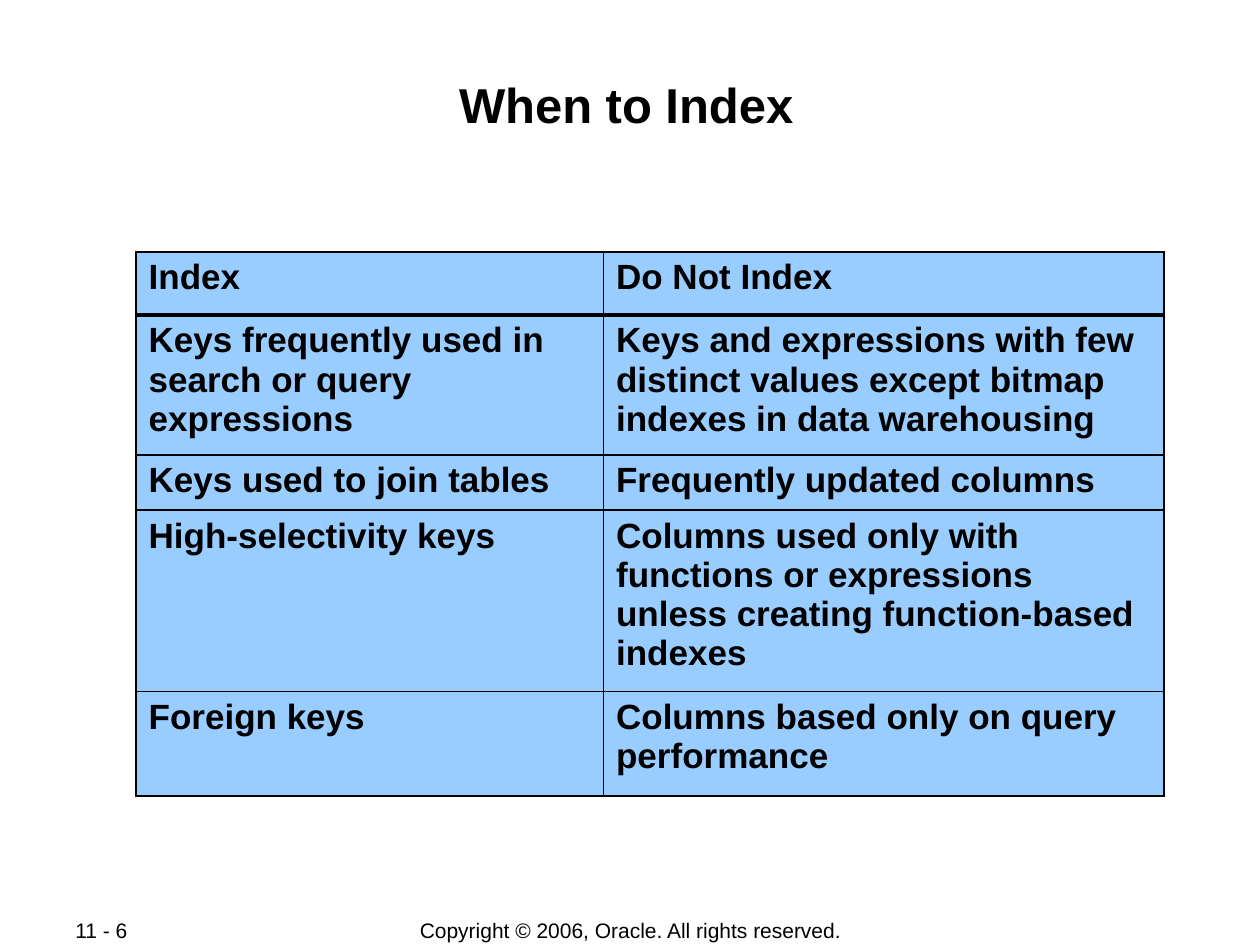
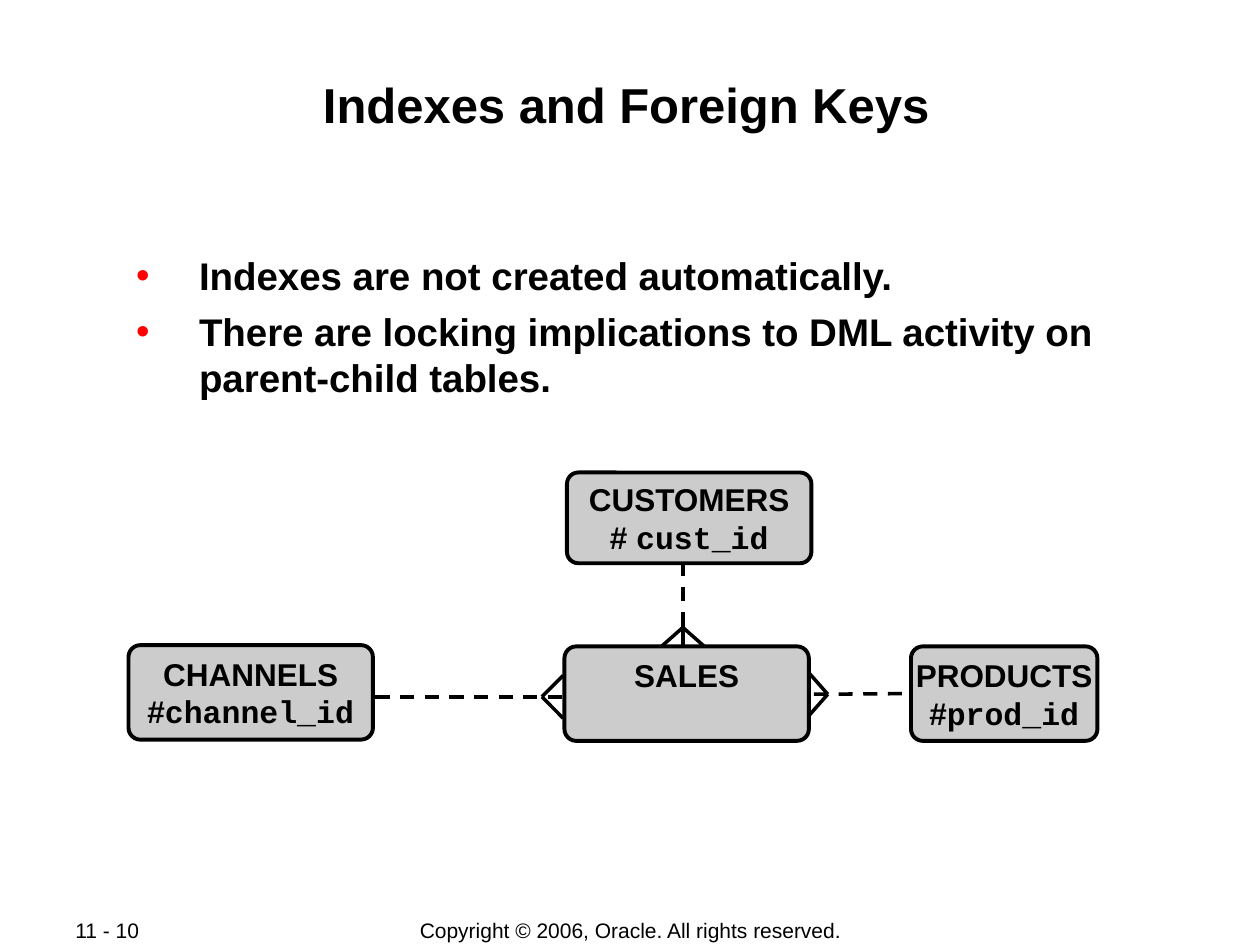
from typing import NamedTuple, Optional

from lxml.etree import SubElement
from pptx import Presentation
from pptx.dml.color import RGBColor
from pptx.enum.dml import MSO_LINE
from pptx.enum.shapes import MSO_CONNECTOR, MSO_SHAPE
from pptx.enum.text import MSO_ANCHOR, PP_ALIGN
from pptx.oxml.ns import qn
from pptx.util import Inches, Pt

# Shared look
BLACK, RED, WHITE = "000000", "FF0000", "FFFFFF"
TABLE_BLUE, ENTITY_GREY = "99CCFF", "CCCCCC"
SANS, MONO = "Arial", "Courier New"
COPYRIGHT = "Copyright © 2006, Oracle. All rights reserved."
TITLE_FORMAT = {"size": Pt(28), "bold": True}
FOOTER_FORMAT = {"size": Pt(12), "bold": False}
CELL_FORMAT = {"size": Pt(20), "bold": True}
BULLET_FORMAT = {"size": Pt(22), "bold": True}
ENTITY_FORMAT = {"size": Pt(18), "bold": True}


class Box(NamedTuple):
    left: float
    top: float
    width: float
    height: float

    def lengths(self):
        return [Inches(value) for value in self]


class Entity(NamedTuple):
    box: Box
    name: str
    key_mark: str = ""
    key: str = ""
    anchor: MSO_ANCHOR = MSO_ANCHOR.TOP


class Link(NamedTuple):
    start: tuple[float, float]
    end: tuple[float, float]
    dashed: bool = False
    end_entity: Optional[str] = None
    end_site: int = 0


class CrowFoot(NamedTuple):
    tip: tuple[float, float]
    base: float
    vertical: bool = False


TITLE_BOX = Box(0.97, 0.58, 8, 0.96)
NUMBER_BOX = Box(0.5, 7.28, 1.06, 0.2)
COPYRIGHT_BOX = Box(2.76, 7.28, 4.49, 0.21)
BULLETS_BOX = Box(0.94, 1.99, 8.06, 1.2)
TABLE_BOX = Box(1.08, 2, 8.16, 4.32)

# Slide content
COLUMN_WIDTHS = [3.71, 4.45]
ROW_HEIGHTS = [0.5, 1.11, 0.44, 1.44, 0.83]
INDEX_RULES = [
    ("Index", "Do Not Index"),
    ("Keys frequently used in search or query expressions",
     "Keys and expressions with few distinct values except bitmap indexes in data warehousing"),
    ("Keys used to join tables", "Frequently updated columns"),
    ("High-selectivity keys",
     "Columns used only with functions or expressions unless creating function-based indexes"),
    ("Foreign keys", "Columns based only on query performance"),
]
BULLETS = [
    "Indexes are not created automatically.",
    "There are locking implications to DML activity on parent-child tables.",
]
ENTITIES = [
    Entity(Box(4.5, 3.75, 1.94, 0.72), "CUSTOMERS", "# ", "cust_id", MSO_ANCHOR.MIDDLE),
    Entity(Box(4.48, 5.13, 1.94, 0.75), "SALES"),
    Entity(Box(7.23, 5.13, 1.48, 0.75), "PRODUCTS", "#", "prod_id"),
    Entity(Box(1.02, 5.12, 1.94, 0.75), "CHANNELS", "#", "channel_id", MSO_ANCHOR.MIDDLE),
]
LINKS = [
    Link((2.98, 5.53), (4.48, 5.53), dashed=True),
    Link((6.46, 5.51), (7.23, 5.51), dashed=True, end_entity="PRODUCTS", end_site=1),
    Link((5.42, 4.77), (5.42, 4.47), dashed=True),
    Link((5.42, 5.13), (5.42, 4.86)),
]
PRONG_SPREAD = 0.17
CROW_FEET = [
    CrowFoot((4.3, 5.53), 4.47),
    CrowFoot((6.57, 5.51), 6.42),
    CrowFoot((5.42, 4.98), 5.13, vertical=True),
]


def color(value: str) -> RGBColor:
    return RGBColor.from_string(value)


def add_run(paragraph, text: str, text_format: dict, font_name: str = SANS) -> None:
    run = paragraph.add_run()
    run.text = text
    run.font.name = font_name
    run.font.color.rgb = color(BLACK)
    for name, value in text_format.items():
        setattr(run.font, name, value)


def set_frame(frame, side: float, edge: float, anchor=MSO_ANCHOR.TOP, wrap: bool = True) -> None:
    settings = {
        "margin_left": Inches(side), "margin_right": Inches(side),
        "margin_top": Inches(edge), "margin_bottom": Inches(edge),
        "vertical_anchor": anchor, "word_wrap": wrap,
    }
    for name, value in settings.items():
        setattr(frame, name, value)


def add_text(slide, box: Box, text: str, text_format: dict, align: PP_ALIGN,
             side: float = 0.01, edge: float = 0.01, anchor=MSO_ANCHOR.TOP) -> None:
    frame = slide.shapes.add_textbox(*box.lengths()).text_frame
    set_frame(frame, side, edge, anchor)
    frame.paragraphs[0].alignment = align
    add_run(frame.paragraphs[0], text, text_format)


def add_base_slide(presentation, title: str, number: str):
    slide = presentation.slides.add_slide(presentation.slide_layouts[6])
    slide.background.fill.solid()
    slide.background.fill.fore_color.rgb = color(WHITE)
    footer_place = {"side": 0.1, "edge": 0, "anchor": MSO_ANCHOR.MIDDLE}
    add_text(slide, NUMBER_BOX, number, FOOTER_FORMAT, PP_ALIGN.LEFT, **footer_place)
    add_text(slide, COPYRIGHT_BOX, COPYRIGHT, FOOTER_FORMAT, PP_ALIGN.CENTER, **footer_place)
    add_text(slide, TITLE_BOX, title, TITLE_FORMAT, PP_ALIGN.CENTER)
    return slide


def set_border(cell, side: str, width: float) -> None:
    properties = cell._tc.get_or_add_tcPr()
    line = SubElement(properties, qn(f"a:ln{side}"), w=str(Pt(width)))
    fill = SubElement(line, qn("a:solidFill"))
    SubElement(fill, qn("a:srgbClr"), val=BLACK)


def add_rules_table(slide) -> None:
    table = slide.shapes.add_table(
        len(ROW_HEIGHTS), len(COLUMN_WIDTHS), *TABLE_BOX.lengths()).table
    table.first_row = table.horz_banding = False
    for column, width in zip(table.columns, COLUMN_WIDTHS):
        column.width = Inches(width)
    for row_index, (row, height) in enumerate(zip(table.rows, ROW_HEIGHTS)):
        row.height = Inches(height)
        # The heading row is ruled off with a heavier line
        heavy_side = {0: "B", 1: "T"}.get(row_index)
        for cell, text in zip(row.cells, INDEX_RULES[row_index]):
            for side in "LRTB":
                set_border(cell, side, 2.21 if side == heavy_side else 1.08)
            cell.fill.solid()
            cell.fill.fore_color.rgb = color(TABLE_BLUE)
            add_run(cell.text_frame.paragraphs[0], text, CELL_FORMAT)


def add_bullets(slide) -> None:
    frame = slide.shapes.add_textbox(*BULLETS_BOX.lengths()).text_frame
    set_frame(frame, 0.01, 0.01)
    for index, text in enumerate(BULLETS):
        paragraph = frame.add_paragraph() if index else frame.paragraphs[0]
        if index:
            paragraph.space_before = Pt(5.5)
        properties = paragraph._p.get_or_add_pPr()
        properties.set("marL", str(Inches(0.63)))
        properties.set("indent", str(Inches(-0.5)))
        bullet_color = SubElement(properties, qn("a:buClr"))
        SubElement(bullet_color, qn("a:srgbClr"), val=RED)
        SubElement(properties, qn("a:buFont"), typeface=SANS)
        SubElement(properties, qn("a:buChar"), char="•")
        add_run(paragraph, text, BULLET_FORMAT)


def add_entity(slide, entity: Entity):
    shape = slide.shapes.add_shape(MSO_SHAPE.ROUNDED_RECTANGLE, *entity.box.lengths())
    shape.adjustments[0] = 0.125
    shape.shadow.inherit = False
    shape.fill.solid()
    shape.fill.fore_color.rgb = color(ENTITY_GREY)
    shape.line.color.rgb = color(BLACK)
    shape.line.width = Pt(2.25)
    frame = shape.text_frame
    set_frame(frame, 0.1, 0.05, entity.anchor, wrap=False)
    frame.paragraphs[0].alignment = PP_ALIGN.CENTER
    add_run(frame.paragraphs[0], entity.name, ENTITY_FORMAT)
    if entity.key:
        paragraph = frame.add_paragraph()
        paragraph.alignment = PP_ALIGN.CENTER
        add_run(paragraph, entity.key_mark, ENTITY_FORMAT)
        add_run(paragraph, entity.key, ENTITY_FORMAT, MONO)
    return shape


def add_link(slide, link: Link, shapes: dict) -> None:
    ends = [Inches(value) for value in (*link.start, *link.end)]
    connector = slide.shapes.add_connector(MSO_CONNECTOR.STRAIGHT, *ends)
    connector.line.color.rgb = color(BLACK)
    connector.line.width = Pt(2)
    if link.dashed:
        connector.line.dash_style = MSO_LINE.DASH
    SubElement(connector._element.spPr, qn("a:effectLst"))
    if link.end_entity:
        connector.end_connect(shapes[link.end_entity], link.end_site)


def add_crow_foot(slide, foot: CrowFoot) -> None:
    x, y = foot.tip
    for offset in (-PRONG_SPREAD, PRONG_SPREAD):
        prong = (x + offset, foot.base) if foot.vertical else (foot.base, y + offset)
        add_link(slide, Link(prong, foot.tip), {})


def main() -> None:
    presentation = Presentation()
    presentation.slide_width, presentation.slide_height = Inches(10), Inches(7.5)

    # When to index: table of rules
    add_rules_table(add_base_slide(presentation, "When to Index", "11 - 6"))

    # Foreign keys: bullets and entity diagram
    slide = add_base_slide(presentation, "Indexes and Foreign Keys", "11 - 10")
    add_bullets(slide)
    shapes = {entity.name: add_entity(slide, entity) for entity in ENTITIES}
    for link in LINKS:
        add_link(slide, link, shapes)
    for foot in CROW_FEET:
        add_crow_foot(slide, foot)

    presentation.save("out.pptx")


if __name__ == "__main__":
    main()
